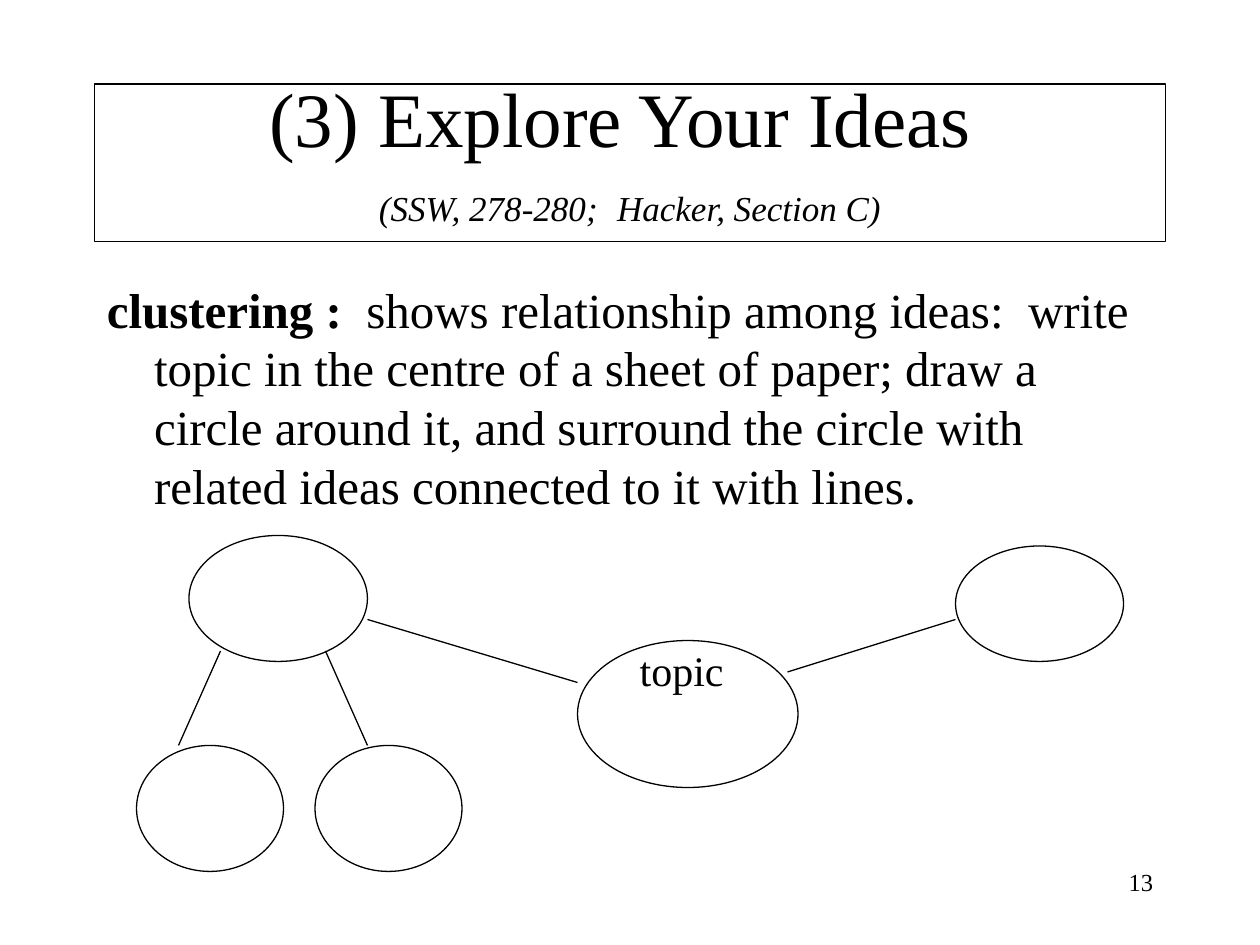
from dataclasses import dataclass

from lxml import etree
from pptx import Presentation
from pptx.dml.color import RGBColor
from pptx.enum import shapes, text
from pptx.oxml.ns import qn
from pptx.util import Pt

COLORS = {"ink": "000000", "paper": "FFFFFF"}
FONT = "Times New Roman"
LINE = 0.75


@dataclass
class Box:
    x: float
    y: float
    w: float
    h: float


@dataclass
class Link:
    x1: float
    y1: float
    x2: float
    y2: float


@dataclass
class Span:
    words: str
    size: float
    bold: bool = False
    slant: bool = False
    ends: bool = False  # a line break follows


NODES = [
    Box(330, 366, 126, 84),
    Box(546, 312, 96, 66),
    Box(108, 306, 102, 72),
    Box(78, 426, 84, 72),
    Box(180, 426, 84, 72),
]
LINKS = [
    Link(450, 384, 546, 354),
    Link(330, 390, 210, 354),
    Link(126, 372, 102, 426),
    Link(186, 372, 210, 426),
]


def color(name: str) -> RGBColor:
    return RGBColor.from_string(COLORS[name])


def outline(shape) -> None:
    shape.line.color.rgb = color("ink")
    shape.line.width = Pt(LINE)


def draw_node(slide, box: Box, kind=shapes.MSO_SHAPE.OVAL):
    node = slide.shapes.add_shape(kind, Pt(box.x), Pt(box.y), Pt(box.w), Pt(box.h))
    node.shadow.inherit = False
    node.fill.background()
    outline(node)
    return node


def draw_link(slide, link: Link) -> None:
    line = slide.shapes.add_connector(
        shapes.MSO_CONNECTOR.STRAIGHT, Pt(link.x1), Pt(link.y1), Pt(link.x2), Pt(link.y2)
    )
    outline(line)
    etree.SubElement(line._element.spPr, qn("a:effectLst"))


def add_box(slide, box: Box):
    return slide.shapes.add_textbox(Pt(box.x), Pt(box.y), Pt(box.w), Pt(box.h))


def write(shape, spans: list[Span], *, align=text.PP_ALIGN.LEFT,
          anchor=text.MSO_ANCHOR.TOP, wrap=True, spacing=1.0, hang=0) -> None:
    """Fill a shape with one paragraph; hang is the hanging indent."""
    frame = shape.text_frame
    frame.word_wrap = wrap
    if not wrap:
        frame.auto_size = text.MSO_AUTO_SIZE.SHAPE_TO_FIT_TEXT
    frame.vertical_anchor = anchor
    para = frame.paragraphs[0]
    para.alignment = align
    para.line_spacing = spacing
    if hang:
        props = para._p.get_or_add_pPr()
        props.set("marL", str(Pt(hang)))
        props.set("indent", str(-Pt(hang)))
    for span in spans:
        run = para.add_run()
        run.text = span.words
        font = run.font
        font.name, font.size = FONT, Pt(span.size)
        font.bold, font.italic = span.bold, span.slant
        font.color.rgb = color("ink")
        if span.ends:
            para.add_line_break()


def main() -> None:
    deck = Presentation()
    deck.slide_width, deck.slide_height = Pt(720), Pt(540)
    slide = deck.slides.add_slide(deck.slide_layouts[6])
    slide.background.fill.solid()
    slide.background.fill.fore_color.rgb = color("paper")

    title = draw_node(slide, Box(54, 48, 612, 90), shapes.MSO_SHAPE.RECTANGLE)
    write(title, [
        Span("(3) Explore Your Ideas ", 44, ends=True),
        Span("(SSW, 278-280;", 20, slant=True),
        Span(" ", 44),
        Span("Hacker, Section C)", 20, slant=True),
    ], align=text.PP_ALIGN.CENTER, anchor=text.MSO_ANCHOR.MIDDLE, spacing=0.8)

    body = add_box(slide, Box(54, 156, 612, 324))
    write(body, [
        Span("clustering :", 28, bold=True),
        Span("  shows relationship among ideas:  write topic in the centre of a sheet "
             "of paper; draw a circle around it, and surround the circle with related "
             "ideas connected to it with lines.", 28),
    ], hang=27)

    for node in NODES:
        draw_node(slide, node)
    for link in LINKS:
        draw_link(slide, link)

    label = add_box(slide, Box(356.5, 365, 66, 36))
    write(label, [Span("topic", 24)], align=text.PP_ALIGN.CENTER, wrap=False)
    number = add_box(slide, Box(516, 492, 150, 36))
    write(number, [Span("13", 14)], align=text.PP_ALIGN.RIGHT)

    deck.save("out.pptx")


if __name__ == "__main__":
    main()
